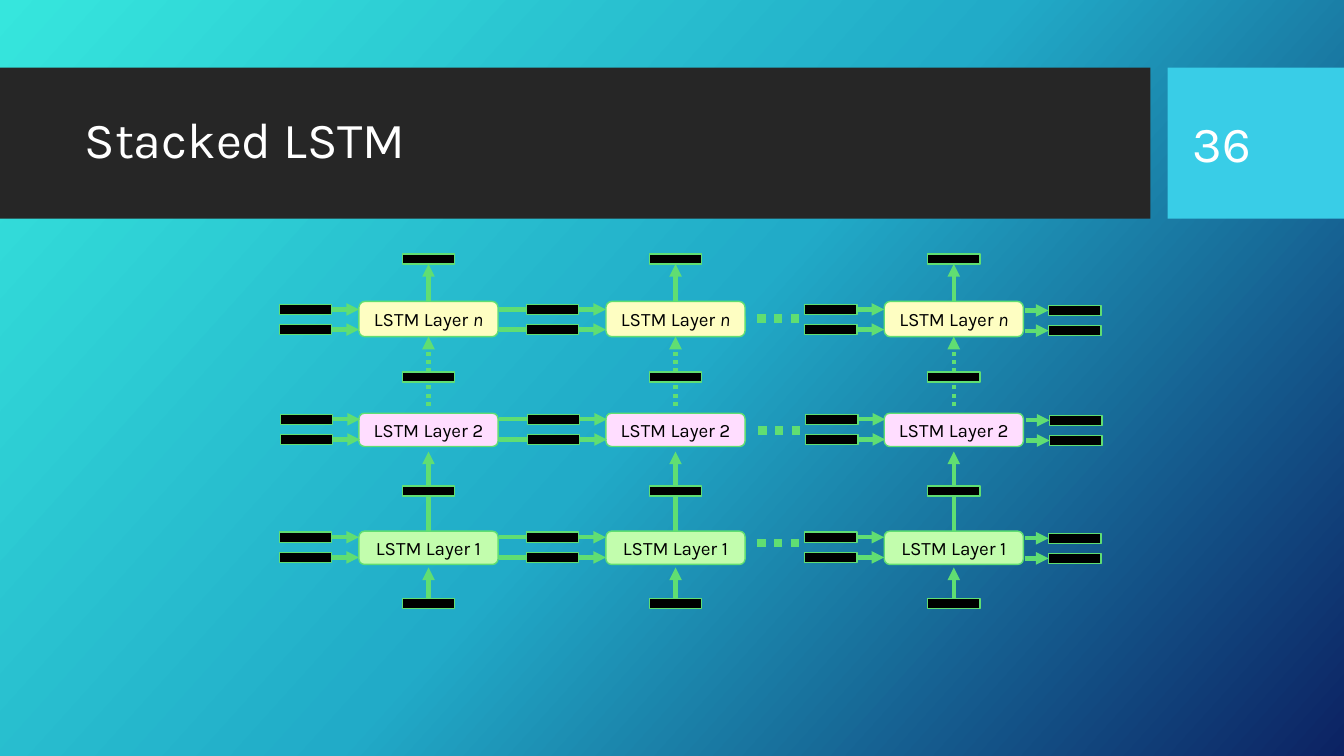
from lxml.etree import SubElement
from pptx import Presentation
from pptx.dml.color import RGBColor
from pptx.enum.dml import MSO_LINE
from pptx.enum.shapes import MSO_CONNECTOR, MSO_SHAPE
from pptx.enum.text import MSO_ANCHOR, PP_ALIGN
from pptx.oxml.ns import qn
from pptx.util import Emu, Pt

PX = 9144
GREEN = "60DE72"
CHIP_W, CHIP_H = 52, 10
BOX_W = 138
COLUMNS = [356, 601, 877]
LAYERS = [
    (299, 35, 3, 0, "FEFEC2", [("LSTM Layer ", False), ("n", True)]),
    (410, 33, 1, 1, "FFDDFF", [("LSTM Layer 2", False)]),
    (527, 33, 1, 0, "C2FDAD", [("LSTM Layer 1", False)]),
]


def px(n):
    """Turn px into EMU."""
    return Emu(round(n * PX))


def color(hex_string):
    """Turn a hex string into a colour."""
    return RGBColor.from_string(hex_string)


def add_box(s, x, y, w, h, fill, line=None, kind=MSO_SHAPE.RECTANGLE):
    """Add a filled preset shape."""
    sp = s.shapes.add_shape(kind, px(x), px(y), px(w), px(h))
    sp.shadow.inherit = False
    sp.fill.solid()
    sp.fill.fore_color.rgb = color(fill)
    if line:
        sp.line.color.rgb = color(line)
        sp.line.width = Pt(1)
    else:
        sp.line.fill.background()
    return sp


def add_text(sp, runs, size, fill, align=PP_ALIGN.LEFT, spacing=1.0):
    """Write one paragraph of (text, italic) runs into a shape."""
    tf = sp.text_frame
    tf.word_wrap = True
    tf.vertical_anchor = MSO_ANCHOR.MIDDLE
    p = tf.paragraphs[0]
    p.alignment = align
    p.line_spacing = spacing
    for text, italic in runs:
        r = p.add_run()
        r.text = text
        r.font.size = Pt(size)
        r.font.name = "Karla"
        r.font.italic = italic
        r.font.color.rgb = color(fill)


def add_line(s, x1, y1, x2, y2, width=3, arrow=True, dotted=False):
    """Add a green line, with an arrowhead at its end if asked."""
    c = s.shapes.add_connector(MSO_CONNECTOR.STRAIGHT, px(x1), px(y1), px(x2), px(y2))
    c.line.color.rgb = color(GREEN)
    c.line.width = Pt(width)
    if dotted:
        c.line.dash_style = MSO_LINE.ROUND_DOT
    if arrow:
        SubElement(c.line._get_or_add_ln(), qn("a:tailEnd"), type="triangle")
    SubElement(c._element.spPr, qn("a:effectLst"))
    return c


def add_chip(s, x, y):
    """Add one black vector bar."""
    return add_box(s, x, y, CHIP_W, CHIP_H, "000000", GREEN)


def add_background(s, stops, angle):
    """Fill the slide background with a linear gradient."""
    s.background.fill.gradient()
    grad = s.element.find(".//" + qn("a:gradFill"))
    gs_list = grad.find(qn("a:gsLst"))
    for gs in list(gs_list):
        gs_list.remove(gs)
    for pos, value in stops:
        gs = SubElement(gs_list, qn("a:gs"), pos=str(pos * 1000))
        SubElement(gs, qn("a:srgbClr"), val=value)
    grad.find(qn("a:lin")).set("ang", str(angle * 60000))


def add_header(s, y, h, title, number):
    """Add the title band and the page number block."""
    add_box(s, 0, y, 1141, h, "262626")
    add_box(s, 1158, y, 175, h, "39CDE7")
    for x, w, text, spacing in [(74, 1051, title, 0.9), (173 + 1000, 126, number, 1.0)]:
        sp = s.shapes.add_textbox(px(x), px(y + 15), px(w), px(118))
        add_text(sp, [(text, False)], 36, "FFFFFF", spacing=spacing)


def add_states(s, x, y, shift, first, last):
    """Add the two state bars around one cell, with their lines."""
    for top in (y, y + 20):
        mid = top + CHIP_H // 2
        chip = add_chip(s, x - 79 + shift, top)
        arrow = add_line(s, x - 27 + shift, mid, x + shift, mid)
        arrow.begin_connect(chip, 3)
        if not first and not last:
            link = add_line(s, x - 106, mid, x - 79, mid, arrow=False)
            link.end_connect(chip, 1)
        if last:
            out = add_chip(s, x + 163 + shift, top + 1)
            arrow = add_line(s, x + 140 + shift, mid + 1, x + 163 + shift, mid + 1)
            arrow.end_connect(out, 1)


def add_column(s, x, first, last):
    """Add one time step: three stacked cells with their vectors."""
    mid, chip_x = x + BOX_W // 2, x + 43
    cells = []
    for y, h, offset, shift, fill, runs in LAYERS:
        cell = add_box(s, x, y, BOX_W, h, fill, GREEN, MSO_SHAPE.ROUNDED_RECTANGLE)
        add_text(cell, runs, 13.5, "000000", PP_ALIGN.CENTER)
        cells.append(cell)
        add_states(s, x, y + offset, shift, first, last)
    top_cell, _, bottom_cell = cells
    add_line(s, mid, 527, mid, 448).begin_connect(bottom_cell, 0)
    add_line(s, mid, 403, mid, 334, dotted=True).end_connect(top_cell, 2)
    output, _, _, source = [add_chip(s, chip_x, y) for y in (252, 369, 482, 594)]
    arrow = add_line(s, mid, 299, mid, 262)
    arrow.begin_connect(top_cell, 0)
    arrow.end_connect(output, 2)
    add_line(s, mid, 594, mid, 563).begin_connect(source, 0)


def add_network(s):
    """Add all time steps and the dots that stand for the skipped ones."""
    for x in COLUMNS:
        add_column(s, x, x == COLUMNS[0], x == COLUMNS[-1])
    for x, y in [(751, 316), (752, 427), (751, 539)]:
        add_line(s, x, y, x + 42, y, width=6, arrow=False, dotted=True)


def main():
    """Build the slide and save it."""
    prs = Presentation()
    prs.slide_width, prs.slide_height = px(1333), px(750)
    s = prs.slides.add_slide(prs.slide_layouts[6])
    add_background(s, [(0, "36E6DD"), (50, "21ABC8"), (100, "0C2263")], 42)
    add_header(s, 67, 150, "Stacked LSTM", "36")
    add_network(s)
    prs.save("out.pptx")


if __name__ == "__main__":
    main()
